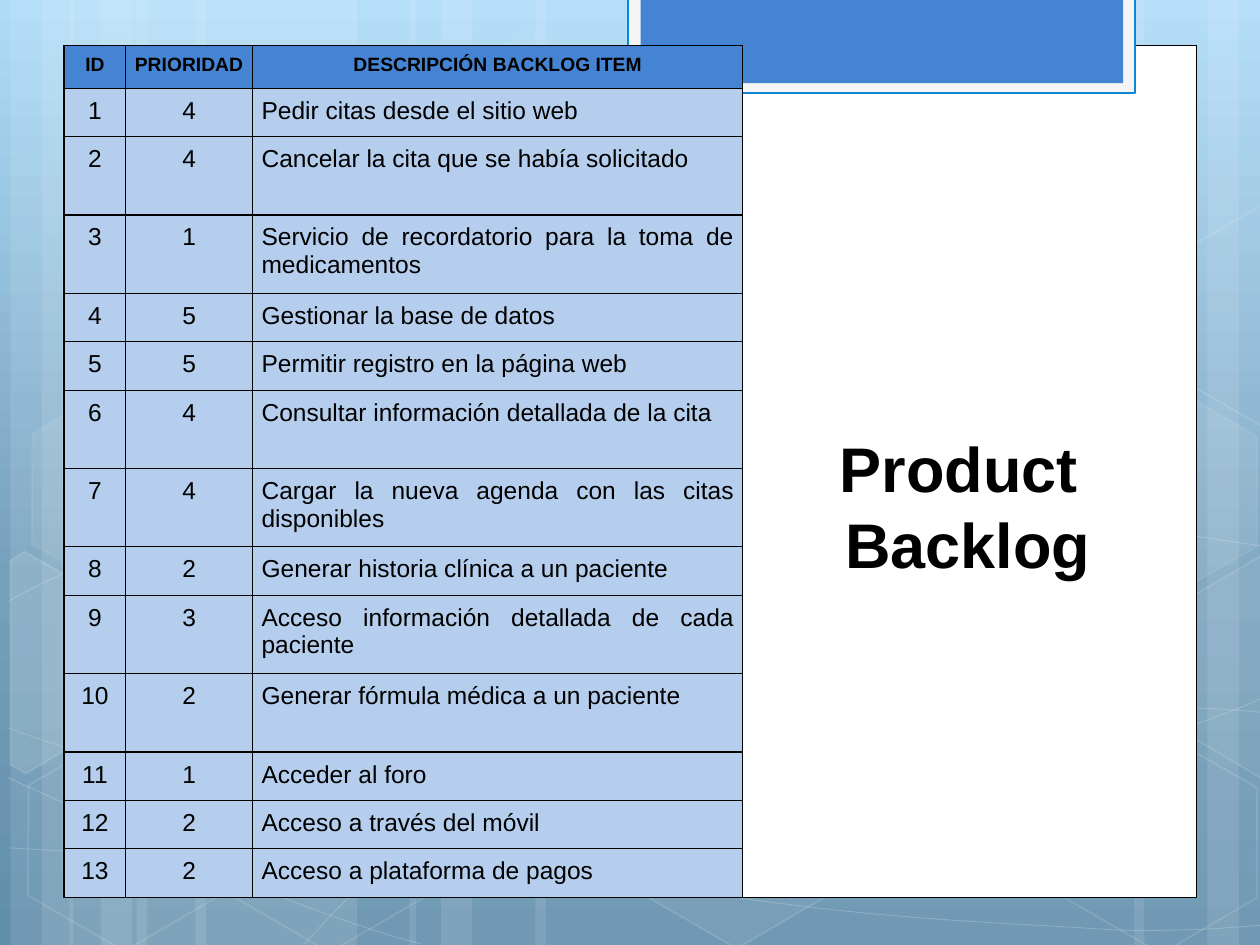
from copy import deepcopy
from dataclasses import dataclass
from math import cos, radians, sin
from lxml.etree import SubElement
from pptx import Presentation
from pptx.dml.color import RGBColor
from pptx.enum.shapes import MSO_SHAPE
from pptx.enum.text import MSO_ANCHOR, PP_ALIGN
from pptx.oxml.ns import qn
from pptx.util import Inches, Pt


@dataclass(frozen=True)
class Theme:
    """Colours, font and type sizes of the slide."""
    font: str = "Arial"
    ink: str = "000000"
    white: str = "FFFFFF"
    accent: str = "4584D3"
    edge: str = "0B87D6"
    frame: str = "F5F5F5"
    row: str = "B5CEED"
    sky: tuple = ((0, "ADDBF8"), (0.62, "75A0BC"), (1, "618EAB"))
    title: int = 36
    head: int = 11
    body: int = 14


T = Theme()
COLS, ROWS = 1000, 750
UNIT = Inches(10) // COLS
TILT = 30

CURVES = [
    [(7, 673), (61, 676), (115, 679), (190, 678), (265, 677), (358, 675), (458, 665),
     (558, 655), (700, 636), (792, 617), (883, 598), (977, 568), (1007, 551)],
    [(7, 477), (36, 461), (65, 446), (121, 431), (178, 416), (259, 394), (347, 387),
     (436, 380), (544, 379), (654, 387), (764, 395), (947, 426), (1007, 434)],
    [(6, 617), (127, 672), (247, 727), (334, 749)],
    [(7, 578), (38, 589), (70, 600), (128, 616), (186, 631), (273, 656), (357, 673),
     (440, 690), (545, 708), (628, 718), (711, 729), (800, 733), (853, 736),
     (905, 740), (919, 738), (945, 738), (971, 737), (989, 735), (1007, 734)],
    [(242, 749), (260, 729), (278, 709), (302, 691), (326, 673), (360, 653), (388, 639),
     (416, 625), (433, 619), (470, 609), (506, 599), (573, 585), (608, 578),
     (644, 571), (649, 571), (680, 569), (711, 566), (760, 563), (794, 562),
     (829, 561), (886, 562), (886, 562), (908, 562), (931, 562), (953, 562),
     (971, 563), (988, 564), (997, 565), (1006, 566), (1003, 565), (1006, 566)],
]
HEXAGONS = [(334, 36, 4, 8), (497, 589, 6, 12), (11, 591, 0, 12), (14, 312, 7, 8),
            (174, 592, 0, 12), (753, 453, 10, 12), (834, 593, 0, 12), (834, 314, 7, 8)]
CUT_HEXAGONS = [
    ((36, 535), [(8, 445), (19, 438), (96, 482), (95, 570), (20, 614), (8, 607)], 10),
    ((985, 520), [(926, 485), (1001, 441), (1009, 446), (1009, 613), (1002, 617),
                  (926, 573)], 4),
    ((985, 241), [(926, 207), (1001, 163), (1010, 168), (1009, 335), (1002, 339),
                  (926, 295)], 0),
]
HEADERS = ("ID", "PRIORIDAD", "DESCRIPCIÓN BACKLOG ITEM")
HEAD, SHORT, TALL = 34, 38.5, 62.2
ITEMS = [
    (4, "Pedir citas desde el sitio web", SHORT),
    (4, "Cancelar la cita que se había solicitado", TALL),
    (1, "Servicio de recordatorio para la toma de medicamentos", TALL),
    (5, "Gestionar la base de datos", SHORT),
    (5, "Permitir registro en la página web", SHORT),
    (4, "Consultar información detallada de la cita", TALL),
    (4, "Cargar la nueva agenda con las citas disponibles", TALL),
    (2, "Generar historia clínica a un paciente", SHORT),
    (3, "Acceso información detallada de cada paciente", TALL),
    (2, "Generar fórmula médica a un paciente", TALL),
    (1, "Acceder al foro", SHORT),
    (2, "Acceso a través del móvil", SHORT),
    (2, "Acceso a plataforma de pagos", SHORT),
]


def rgb(color):
    """Turn a hex string into a colour."""
    return RGBColor.from_string(color)


def box(*at):
    """Convert grid columns and rows to lengths."""
    return [round(v * UNIT) for v in at]


def style(sp, fill=None, line=None, width=1, fill_alpha=100, line_alpha=100):
    """Set fill and line, with opacity in percent."""
    sp.shadow.inherit = False
    for fmt, color, alpha, tag in ((sp.fill, fill, fill_alpha, "./a:solidFill"),
                                   (sp.line.fill, line, line_alpha, "./a:ln/a:solidFill")):
        if not color or not alpha:
            fmt.background()
            continue
        fmt.solid()
        fmt.fore_color.rgb = rgb(color)
        if alpha < 100:
            clr = sp.element.spPr.xpath(tag + "/a:srgbClr")[0]
            SubElement(clr, qn("a:alpha")).set("val", str(alpha * 1000))
    if line:
        sp.line.width = Pt(width)


def add_box(s, *at, shape=MSO_SHAPE.RECTANGLE, **fmt):
    """Add a preset shape placed on the grid."""
    sp = s.shapes.add_shape(shape, *box(*at))
    style(sp, **fmt)
    return sp


def add_outline(s, pts, close, **fmt):
    """Add a freeform through grid points."""
    builder = s.shapes.build_freeform(*pts[0], scale=UNIT)
    builder.add_line_segments(pts[1:], close=close)
    sp = builder.convert_to_shape()
    style(sp, **fmt)
    return sp


def add_curve(s, pts, **fmt):
    """Add a chain of cubic curves, three points to each."""
    sp = add_outline(s, pts, False, **fmt)
    lines = sp.element.spPr.xpath(".//a:lnTo")
    for i in range(0, len(lines), 3):
        curve = lines[i].getparent().makeelement(qn("a:cubicBezTo"))
        lines[i].addprevious(curve)
        for line in lines[i:i + 3]:
            curve.append(line[0])
            line.getparent().remove(line)


def untilt(pts, center):
    """Turn points back by the tilt angle."""
    cx, cy = center
    c, n = cos(radians(TILT)), sin(radians(TILT))
    return [(cx + (x - cx) * c + (y - cy) * n, cy - (x - cx) * n + (y - cy) * c)
            for x, y in pts]


def write(tf, text, size=T.body, bold=False, color=T.ink, align=PP_ALIGN.CENTER):
    """Write one formatted paragraph."""
    p = tf.paragraphs[0]
    p.text = text
    p.alignment = align
    for r in p.runs:
        r.font.name, r.font.size, r.font.bold = T.font, Pt(size), bold
        r.font.color.rgb = rgb(color)


def add_background(s):
    """Paint the vertical sky gradient."""
    fill = s.background.fill
    fill.gradient()
    fill.gradient_angle = 270
    stops = s.element.xpath(".//a:gsLst")[0]
    stops.append(deepcopy(stops[-1]))
    for stop, (position, color) in zip(fill.gradient_stops, T.sky):
        stop.position = position
        stop.color.rgb = rgb(color)


def add_decor(s):
    """Add the translucent bands, curves and hexagons."""
    bands = [(x + shift, w) for shift in (0, 5.6) for x, w in ((13, 21), (1, 6), (4, 10))]
    bands += [(88, 21), (115, 6), (108, 10), (51, 37), (39, 6), (42, 10)]
    for x, w in bands:
        add_box(s, x * COLS / 120, 0, w * COLS / 120, ROWS, fill=T.white, fill_alpha=10)
    for pts in CURVES:
        add_curve(s, pts, line=T.white, width=0.5, line_alpha=20)
    for x, y, fill_alpha, line_alpha in HEXAGONS:
        sp = add_box(s, x, y, 175, 152, shape=MSO_SHAPE.HEXAGON, fill=T.white,
                     line=T.white, fill_alpha=fill_alpha, line_alpha=line_alpha)
        sp.rotation = TILT
        sp.adjustments[0], sp.adjustments[1] = 0.285, 1.155
    for center, pts, alpha in CUT_HEXAGONS:
        sp = add_outline(s, untilt(pts, center), True, fill=T.white, line=T.white,
                         fill_alpha=alpha, line_alpha=12)
        sp.rotation = TILT


def format_cell(cell, text, fill, **fmt):
    """Write a table cell and give it borders and a fill."""
    cell.margin_left = cell.margin_right = cell.margin_top = cell.margin_bottom = Inches(0.07)
    write(cell.text_frame, text, **fmt)
    tc_pr = cell._tc.get_or_add_tcPr()
    for side in ("lnL", "lnR", "lnT", "lnB"):
        ln = SubElement(tc_pr, qn("a:" + side), w=str(Pt(0.75)))
        SubElement(SubElement(ln, qn("a:solidFill")), qn("a:srgbClr"), val=T.ink)
    cell.fill.solid()
    cell.fill.fore_color.rgb = rgb(fill)


def add_backlog(s, x, y, widths):
    """Add the backlog table."""
    heights = [HEAD] + [item[2] for item in ITEMS]
    at = box(x, y, sum(widths), sum(heights))
    table = s.shapes.add_table(len(heights), len(widths), *at).table
    for col, width in zip(table.columns, box(*widths)):
        col.width = width
    for row, height in zip(table.rows, box(*heights)):
        row.height = height
    for c, text in enumerate(HEADERS):
        format_cell(table.cell(0, c), text, T.accent, size=T.head, bold=True)
    for n, (priority, text, _) in enumerate(ITEMS, 1):
        format_cell(table.cell(n, 0), str(n), T.row)
        format_cell(table.cell(n, 1), str(priority), T.row)
        format_cell(table.cell(n, 2), text, T.row, align=PP_ALIGN.JUSTIFY)


def add_title(s, text, *at):
    """Add the slide title."""
    tf = s.shapes.add_textbox(*box(*at)).text_frame
    tf.word_wrap = True
    tf.vertical_anchor = MSO_ANCHOR.MIDDLE
    write(tf, text, size=T.title, bold=True)


def main():
    """Build and save the slide."""
    prs = Presentation()
    prs.slide_width, prs.slide_height = COLS * UNIT, ROWS * UNIT
    s = prs.slides.add_slide(prs.slide_layouts[6])
    add_background(s)
    add_decor(s)
    add_box(s, 50, 36, 900, 676.5, fill=T.white, line=T.ink, width=0.5)
    add_box(s, 498.5, -2, 402.5, 76, fill=T.frame, line=T.edge, width=1.25)
    add_box(s, 508.5, -2, 383, 68, fill=T.accent)
    add_backlog(s, 51.2, 36, (48.4, 101.1, 389))
    add_title(s, "Product \vBacklog", 616.5, 335.5, 303, 131)
    prs.save("out.pptx")


if __name__ == "__main__":
    main()
